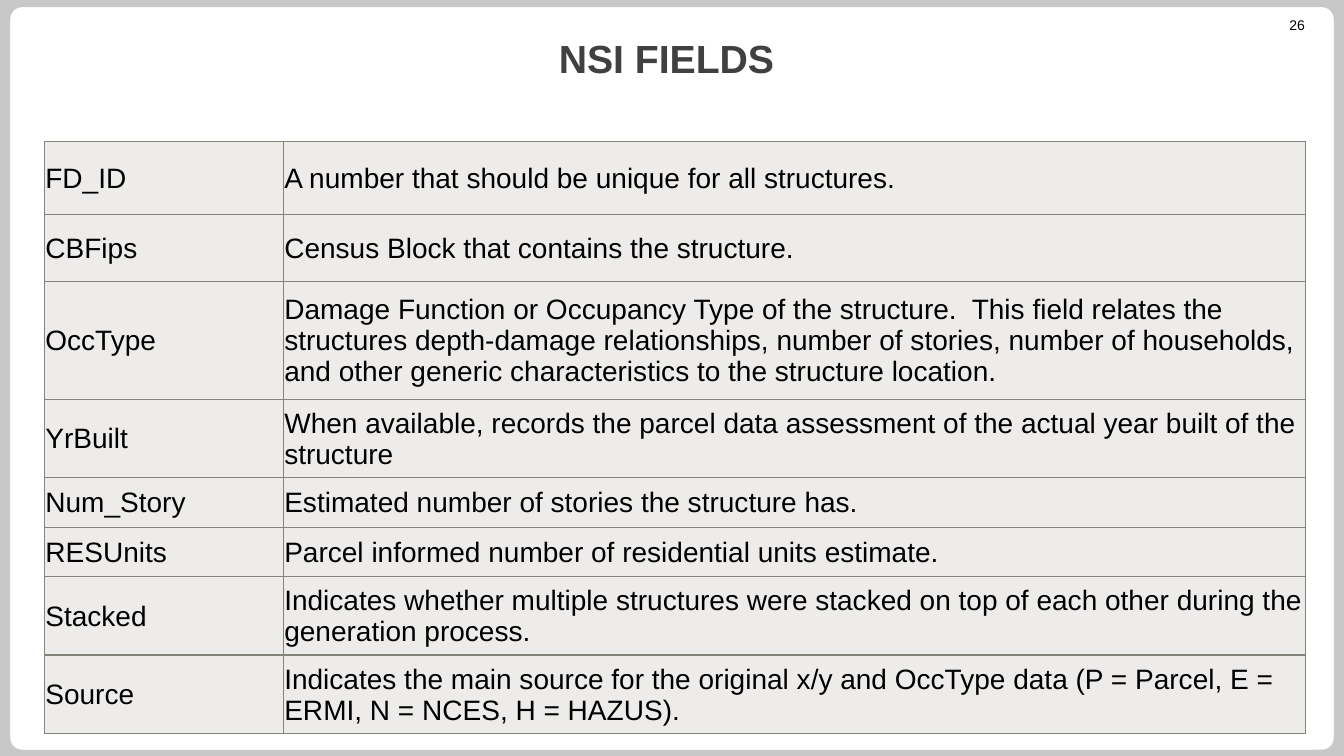
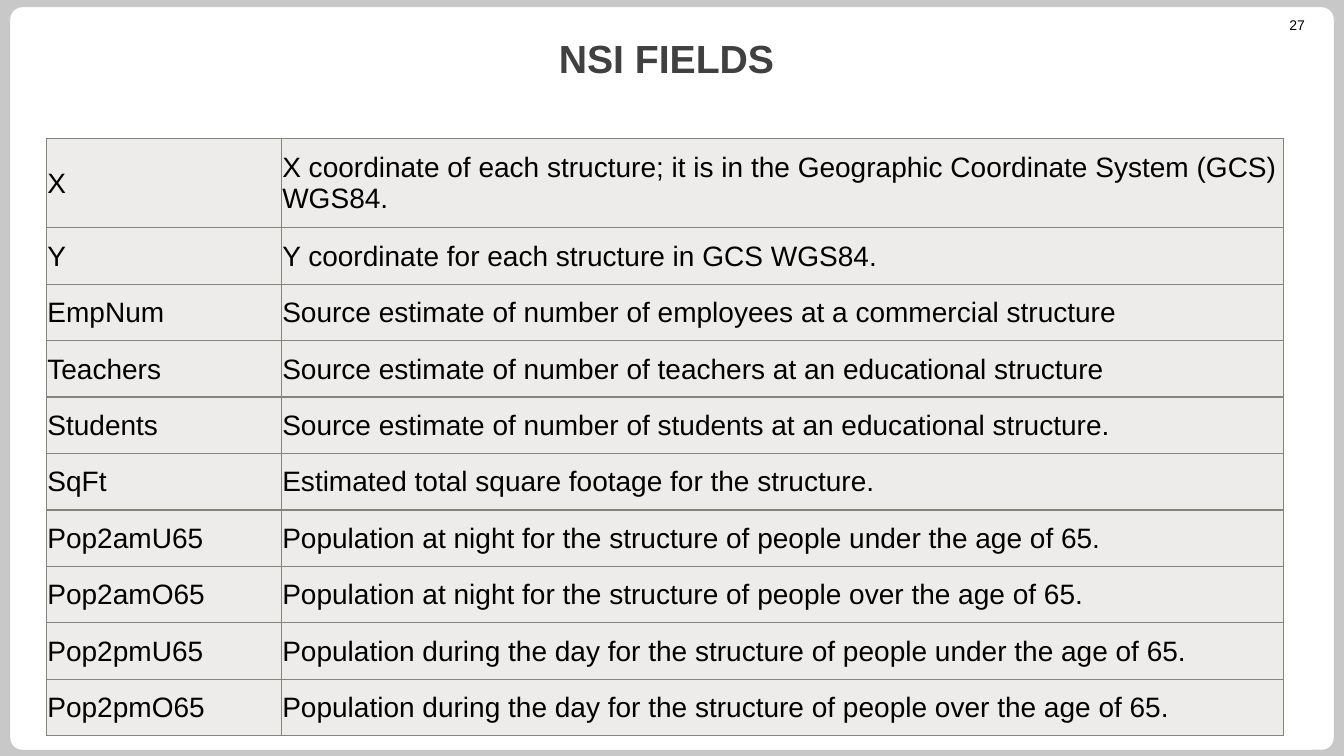
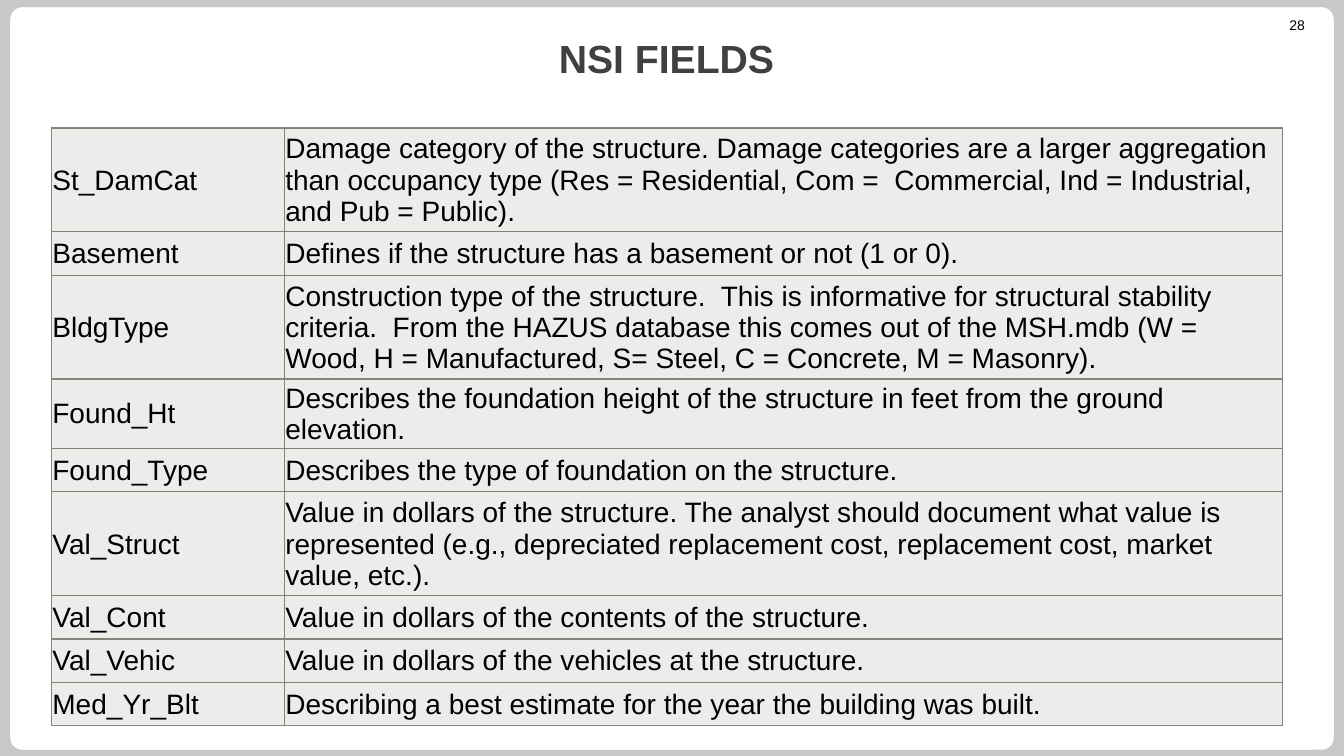
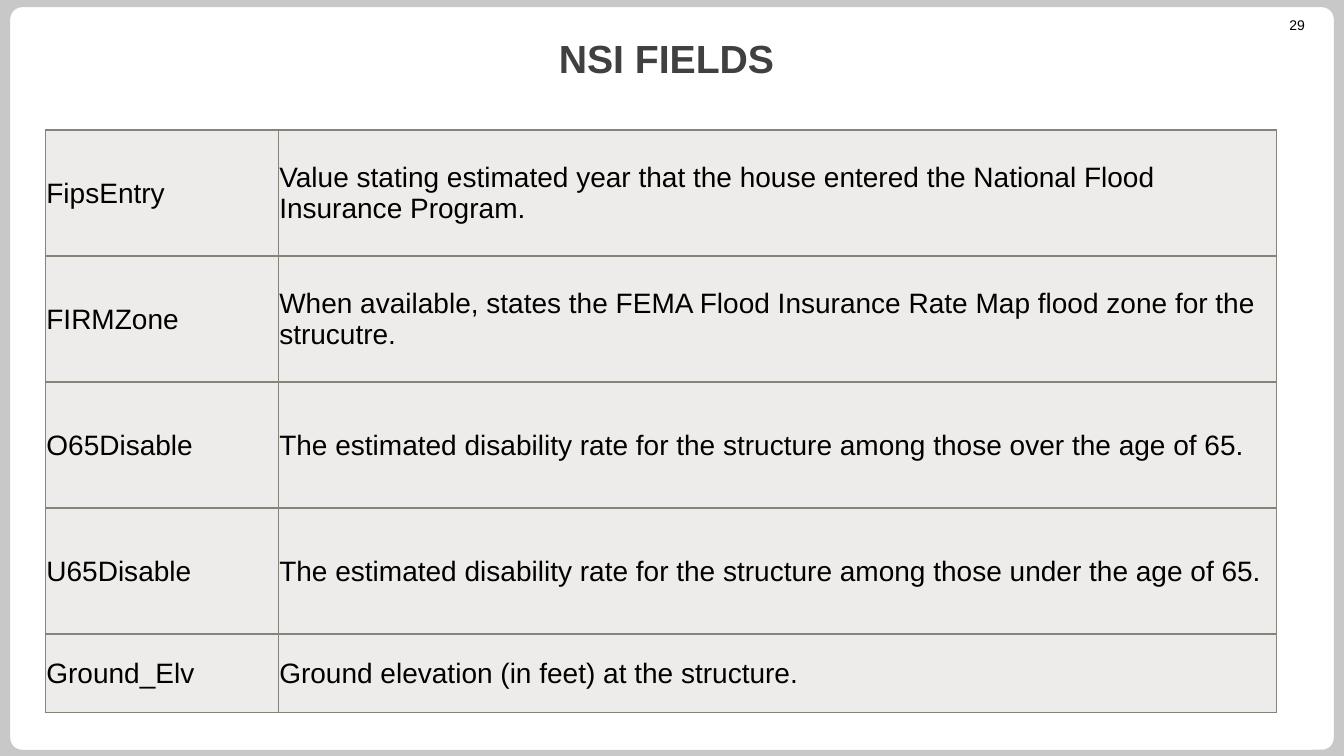
"""Build four slides that list the NSI fields in tables."""
from lxml.etree import SubElement
from pptx import Presentation
from pptx.dml.color import RGBColor
from pptx.enum.shapes import MSO_SHAPE
from pptx.enum.text import MSO_ANCHOR, PP_ALIGN
from pptx.oxml.ns import qn
from pptx.util import Inches, Pt

TITLE = "NSI FIELDS"
FIRST = 26

PAGES = [
    dict(left=0.44, top=1.4, cols=(2.37, 10.14), rows=[
        ("FD_ID", "A number that should be unique for all structures.", 0.73),
        ("CBFips", "Census Block that contains the structure.", 0.66),
        ("OccType", "Damage Function or Occupancy Type of the structure.  This field relates the structures "
         "depth-damage relationships, number of stories, number of households, and other generic "
         "characteristics to the structure location.", 1.17),
        ("YrBuilt", "When available, records the parcel data assessment of the actual year built of the structure",
         0.78),
        ("Num_Story", "Estimated number of stories the structure has.", 0.49),
        ("RESUnits", "Parcel informed number of residential units estimate.", 0.49),
        ("Stacked", "Indicates whether multiple structures were stacked on top of each other during the "
         "generation process.", 0.78),
        ("Source", "Indicates the main source for the original x/y and OccType data (P = Parcel, E = ERMI, "
         "N = NCES, H = HAZUS).", 0.78),
    ]),
    dict(left=0.46, top=1.37, cols=(2.33, 9.94), rows=[
        ("X", "X coordinate of each structure; it is in the Geographic Coordinate System (GCS) WGS84.", 0.89),
        ("Y", "Y coordinate for each structure in GCS WGS84.", 0.56),
        ("EmpNum", "Source estimate of number of employees at a commercial structure", 0.56),
        ("Teachers", "Source estimate of number of teachers at an educational structure", 0.56),
        ("Students", "Source estimate of number of students at an educational structure.", 0.56),
        ("SqFt", "Estimated total square footage for the structure.", 0.56),
        ("Pop2amU65", "Population at night for the structure of people under the age of 65.", 0.56),
        ("Pop2amO65", "Population at night for the structure of people over the age of 65.", 0.56),
        ("Pop2pmU65", "Population during the day for the structure of people under the age of 65.", 0.56),
        ("Pop2pmO65", "Population during the day for the structure of people over the age of 65.", 0.56),
    ]),
    dict(left=0.51, top=1.27, cols=(2.31, 9.9), rows=[
        ("St_DamCat", "Damage category of the structure. Damage categories are a larger aggregation than "
         "occupancy type (Res = Residential, Com =  Commercial, Ind = Industrial, and Pub = Public).", 1.03),
        ("Basement", "Defines if the structure has a basement or not (1 or 0).", 0.43),
        ("BldgType", "Construction type of the structure.  This is informative for structural stability "
         "criteria.  From the HAZUS database this comes out of the MSH.mdb (W = Wood, H = Manufactured, "
         "S= Steel, C = Concrete, M = Masonry).", 1.03),
        ("Found_Ht", "Describes the foundation height of the structure in feet from the ground elevation.", 0.69),
        ("Found_Type", "Describes the type of foundation on the structure.", 0.43),
        ("Val_Struct", "Value in dollars of the structure. The analyst should document what value is "
         "represented (e.g., depreciated replacement cost, replacement cost, market value, etc.).", 1.03),
        ("Val_Cont", "Value in dollars of the contents of the structure.", 0.43),
        ("Val_Vehic", "Value in dollars of the vehicles at the structure.", 0.43),
        ("Med_Yr_Blt", "Describing a best estimate for the year the building was built.", 0.43),
    ]),
    dict(left=0.45, top=1.29, cols=(2.31, 9.9), rows=[
        ("FipsEntry", "Value stating estimated year that the house entered the National Flood Insurance Program.",
         1.25),
        ("FIRMZone", "When available, states the FEMA Flood Insurance Rate Map flood zone for the strucutre.", 1.25),
        ("O65Disable", "The estimated disability rate for the structure among those over the age of 65.", 1.25),
        ("U65Disable", "The estimated disability rate for the structure among those under the age of 65.", 1.25),
        ("Ground_Elv", "Ground elevation (in feet) at the structure.", 0.78),
    ]),
]

THEME = dict(
    back="C8C8C8", panel="FFFFFF", cell="EDECEB", rule="83847A",
    title=dict(name="Arial", size=Pt(28), bold=True, color="404040"),
    body=dict(name="Arial", size=Pt(20), color="000000"),
    number=dict(name="Arial", size=Pt(10), color="000000"),
)
CELL = dict(vertical_anchor=MSO_ANCHOR.MIDDLE, margin_left=Inches(0.01), margin_right=Inches(0.01),
            margin_top=Inches(0.01), margin_bottom=0)
HEAD = dict(word_wrap=True, vertical_anchor=MSO_ANCHOR.MIDDLE)
NUMBER = dict(word_wrap=True, margin_top=0, margin_bottom=0)


def apply(obj, values):
    """Set each value on the object."""
    for key, value in values.items():
        setattr(obj, key, value)


def paint(fill, color):
    """Give a fill one solid colour."""
    fill.solid()
    fill.fore_color.rgb = RGBColor.from_string(color)


def write(frame, text, style, align=PP_ALIGN.LEFT):
    """Put one styled paragraph in a text frame."""
    para = frame.paragraphs[0]
    para.alignment = align
    run = para.add_run()
    run.text = text
    apply(run.font, {key: value for key, value in style.items() if key != "color"})
    run.font.color.rgb = RGBColor.from_string(style["color"])


def label(slide, box, text, style, align, frame):
    """Add a text box."""
    area = slide.shapes.add_textbox(*map(Inches, box)).text_frame
    apply(area, frame)
    write(area, text, style, align)


def border(cell):
    """Draw a thin rule on all sides of a cell."""
    props = cell._tc.get_or_add_tcPr()
    for spot, side in enumerate(("lnL", "lnR", "lnT", "lnB")):
        line = SubElement(props, qn("a:" + side), w=str(Pt(1)))
        fill = SubElement(line, qn("a:solidFill"))
        SubElement(fill, qn("a:srgbClr"), val=THEME["rule"])
        props.insert(spot, line)


def frame(slide, number):
    """Add the panel, page number and title."""
    panel = slide.shapes.add_shape(MSO_SHAPE.ROUNDED_RECTANGLE, *map(Inches, (0.07, 0.04, 13.19, 7.43)))
    panel.adjustments[0] = 0.02
    panel.shadow.inherit = False
    paint(panel.fill, THEME["panel"])
    paint(panel.line.fill, THEME["back"])
    panel.line.width = Pt(4.5)
    label(slide, (12.2, 0.16, 0.84, 0.17), str(number), THEME["number"], PP_ALIGN.RIGHT, NUMBER)
    label(slide, (1.04, 0.14, 11.14, 0.86), TITLE, THEME["title"], PP_ALIGN.CENTER, HEAD)


def grid(slide, left, top, cols, rows):
    """Add the table of fields."""
    high = sum(row[-1] for row in rows)
    table = slide.shapes.add_table(len(rows), len(cols), *map(Inches, (left, top, sum(cols), high))).table
    apply(table, dict(first_row=False, horz_banding=False))
    for col, wide in zip(table.columns, cols):
        col.width = Inches(wide)
    for row, (*texts, tall) in zip(table.rows, rows):
        row.height = Inches(tall)
        for cell, text in zip(row.cells, texts):
            apply(cell, CELL)
            paint(cell.fill, THEME["cell"])
            border(cell)
            write(cell.text_frame, text, THEME["body"])


def main():
    """Build and save the deck."""
    deck = Presentation()
    apply(deck, dict(slide_width=Inches(13.33), slide_height=Inches(7.5)))
    paint(deck.slide_master.background.fill, THEME["back"])
    for number, page in enumerate(PAGES, FIRST):
        slide = deck.slides.add_slide(deck.slide_layouts[6])
        frame(slide, number)
        grid(slide, **page)
    deck.save("out.pptx")


if __name__ == "__main__":
    main()
